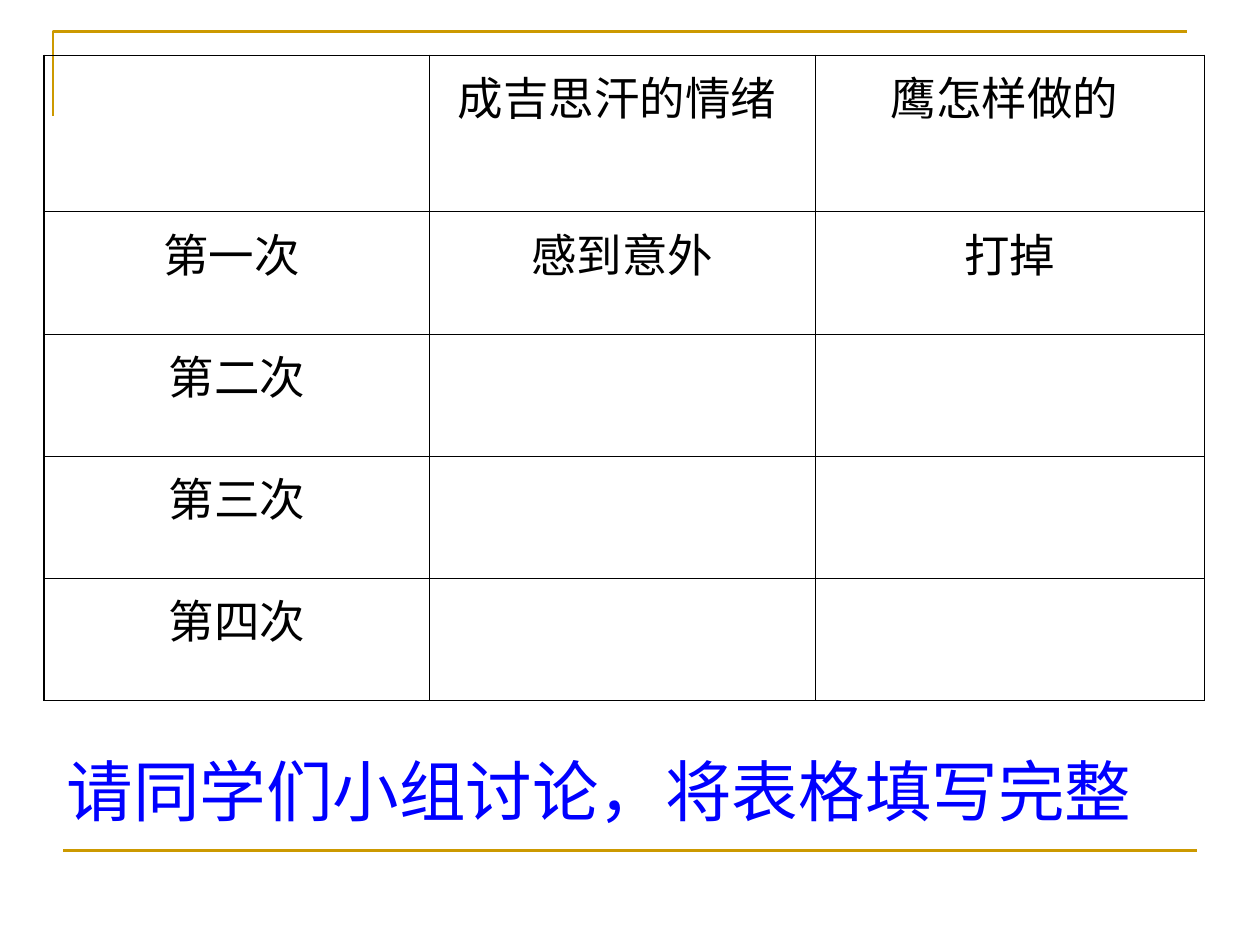
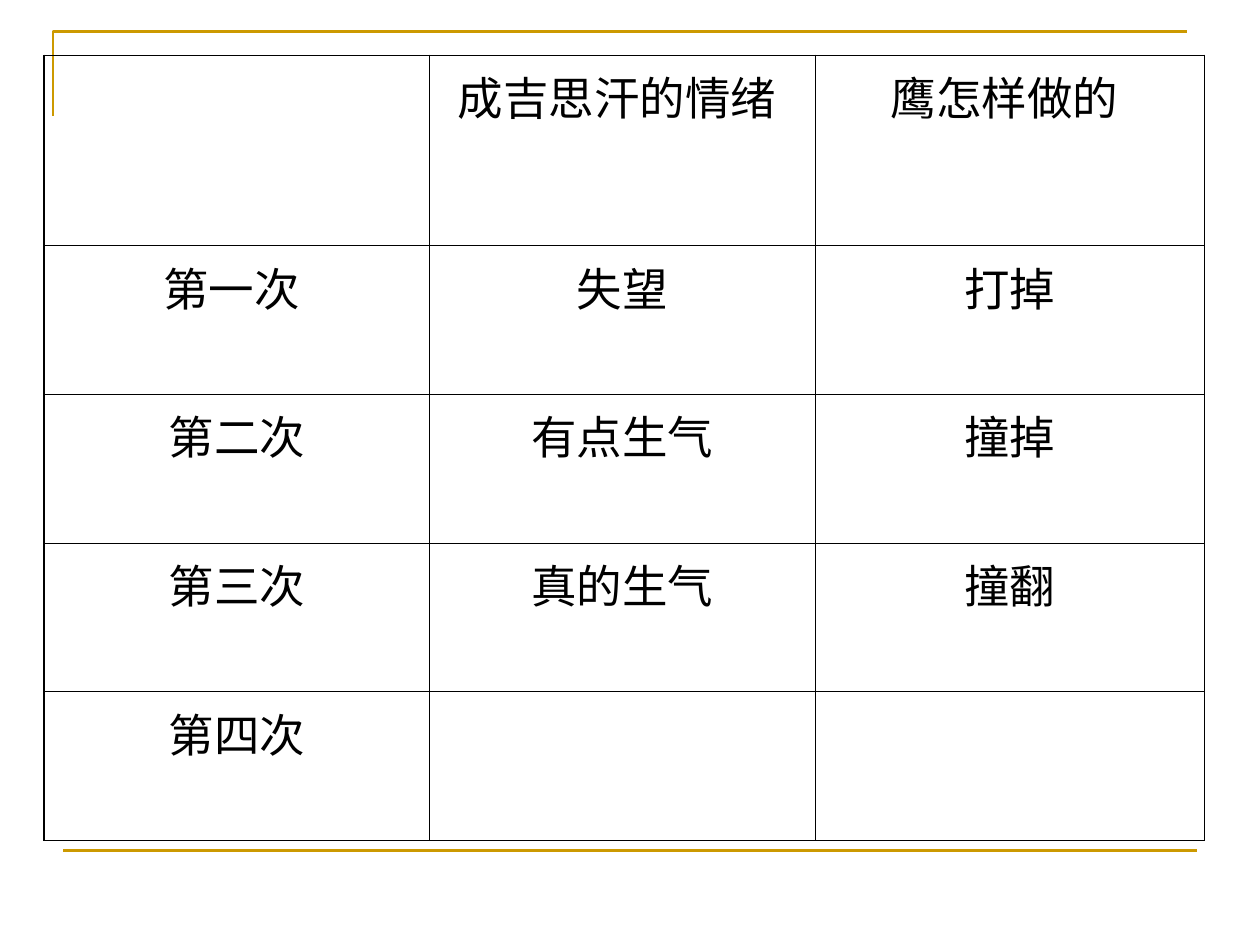
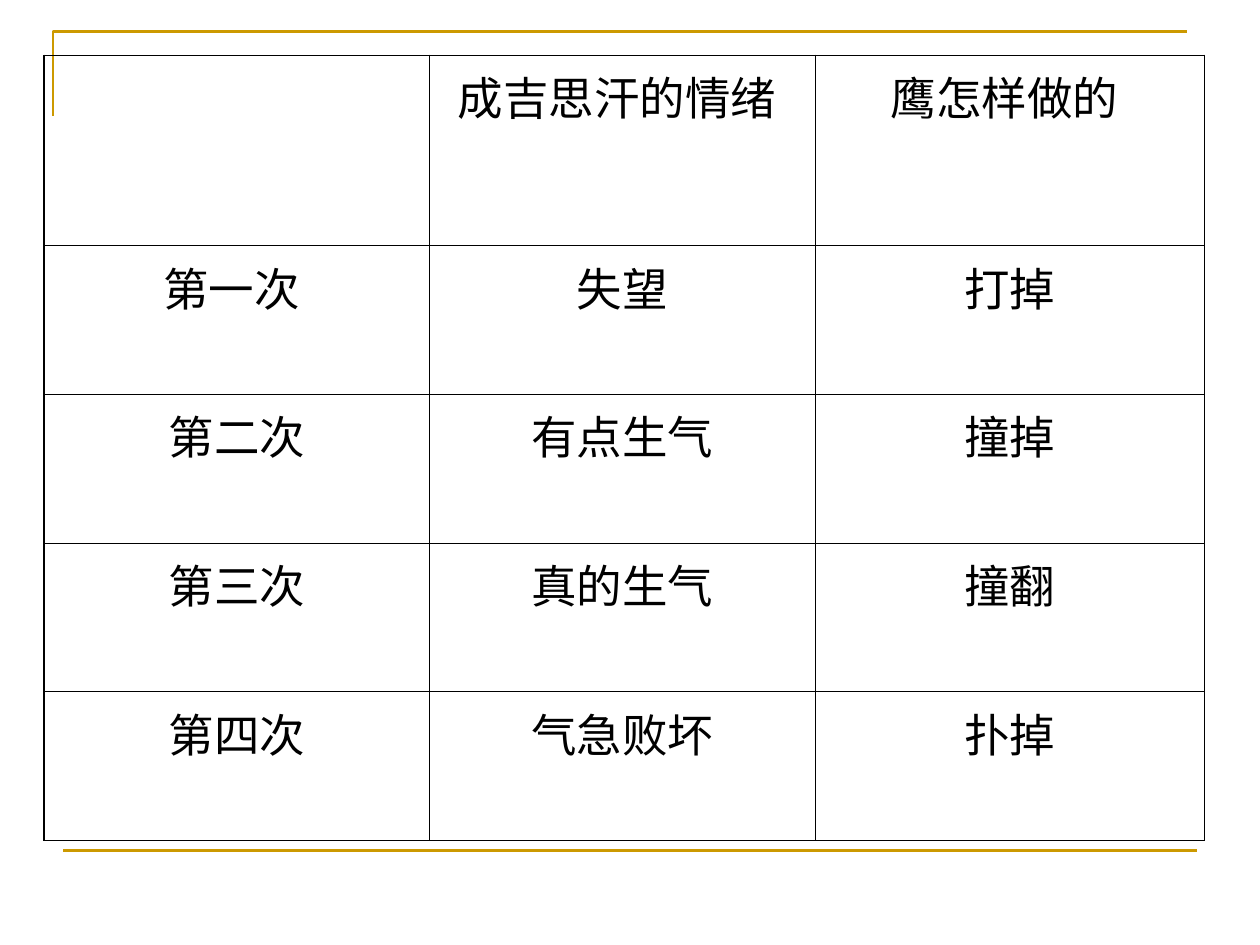
from lxml.etree import SubElement
from pptx import Presentation
from pptx.dml.color import RGBColor
from pptx.enum.text import MSO_ANCHOR, MSO_AUTO_SIZE, PP_ALIGN
from pptx.oxml import parse_xml
from pptx.oxml.ns import nsdecls, qn
from pptx.util import Inches, Pt

GOLD = RGBColor(0xCC, 0x99, 0x00)
BLUE = RGBColor(0x00, 0x00, 0xFF)
BLACK = RGBColor(0x00, 0x00, 0x00)

TITLE_ONLY, BLANK = 5, 6
THIN, THICK = 0.45, 1.08
COL_WIDTHS = (3.06, 3.06, 3.09)
HEADER = ("", "成吉思汗的情绪 ", "鹰怎样做的 ")
ROUNDS = ("第一次 ", "第二次", "第三次", "第四次")
ANSWERS = [("失望", "打掉"), ("有点生气", "撞掉"), ("真的生气", "撞翻"), ("气急败坏", "扑掉")]


def put_text(tf, text, size=26, font="Arial", color=BLACK, align=PP_ALIGN.CENTER):
    """Write one formatted paragraph into a text frame."""
    p = tf.paragraphs[0]
    p.alignment = align
    r = p.add_run()
    r.text = text
    r.font.size = Pt(size)
    r.font.name = font
    r.font.color.rgb = color


def style_line(sp):
    """Give a line the gold stroke without a shadow."""
    sp.line.color.rgb = GOLD
    sp.line.width = Pt(1.5)
    SubElement(sp.element.spPr, qn("a:effectLst"))


def add_master_frame(prs, s):
    """Draw the corner and the bottom rule, then move them to the master."""
    builder = s.shapes.build_freeform(Inches(0.42), Inches(0.92))
    builder.add_line_segments(
        [(Inches(0.42), Inches(0.25)), (Inches(9.42), Inches(0.25))], close=False)
    corner = builder.convert_to_shape()
    corner.fill.background()
    rule = s.shapes.add_connector(1, Inches(0.5), Inches(6.75), Inches(9.5), Inches(6.75))
    for sp in (corner, rule):
        style_line(sp)
        prs.slide_master.shapes.element.append(sp.element)


def set_borders(cell, widths):
    """Set the left, right, top and bottom border widths of a cell in points."""
    tc_pr = cell._tc.get_or_add_tcPr()
    for i, (side, width) in enumerate(zip("LRTB", widths)):
        tc_pr.insert(i, parse_xml(
            f'<a:ln{side} {nsdecls("a")} w="{Pt(width)}"><a:solidFill>'
            f'<a:srgbClr val="{BLACK}"/></a:solidFill></a:ln{side}>'))


def add_eagle_table(s, answers, header_height, row_height):
    """Add the table of emotions and actions, blank where answers run out."""
    blanks = [("", "")] * (len(ROUNDS) - len(answers))
    rows = [HEADER] + [(name, *pair) for name, pair in zip(ROUNDS, answers + blanks)]
    heights = [header_height] + [row_height] * len(ROUNDS)
    last_row, last_col = len(rows) - 1, len(COL_WIDTHS) - 1
    table = s.shapes.add_table(
        len(rows), len(COL_WIDTHS), Inches(0.35), Inches(0.44),
        Inches(sum(COL_WIDTHS)), Inches(sum(heights))).table
    table.first_row = table.horz_banding = False
    for col, width in zip(table.columns, COL_WIDTHS):
        col.width = Inches(width)
    for i, (row, height) in enumerate(zip(rows, heights)):
        table.rows[i].height = Inches(height)
        for j, text in enumerate(row):
            cell = table.cell(i, j)
            cell.fill.background()
            cell.margin_top = Inches(0.06)
            outer = (j == 0, j == last_col, i == 0, i == last_row)
            set_borders(cell, [THICK if edge else THIN for edge in outer])
            if text:
                put_text(cell.text_frame, text)


def add_task_title(s, text):
    """Place the discussion task in the title placeholder."""
    sp = s.shapes.title
    sp.left, sp.top, sp.width, sp.height = map(Inches, (0.43, 5.95, 9, 0.46))
    tf = sp.text_frame
    tf.word_wrap = True
    tf.auto_size = MSO_AUTO_SIZE.NONE
    tf.vertical_anchor = MSO_ANCHOR.TOP
    tf.margin_top = 0
    put_text(tf, text, size=38, font="Times New Roman", color=BLUE, align=PP_ALIGN.LEFT)


def main():
    """Build the three slides and save them."""
    prs = Presentation()
    prs.slide_width, prs.slide_height = Inches(10), Inches(7.5)

    s = prs.slides.add_slide(prs.slide_layouts[TITLE_ONLY])
    add_master_frame(prs, s)
    add_eagle_table(s, [("感到意外", "打掉")], 1.24, 0.97)
    add_task_title(s, "请同学们小组讨论，将表格填写完整")

    for shown in (3, 4):
        s = prs.slides.add_slide(prs.slide_layouts[BLANK])
        add_eagle_table(s, ANSWERS[:shown], 1.51, 1.18)

    prs.save("out.pptx")


if __name__ == "__main__":
    main()
